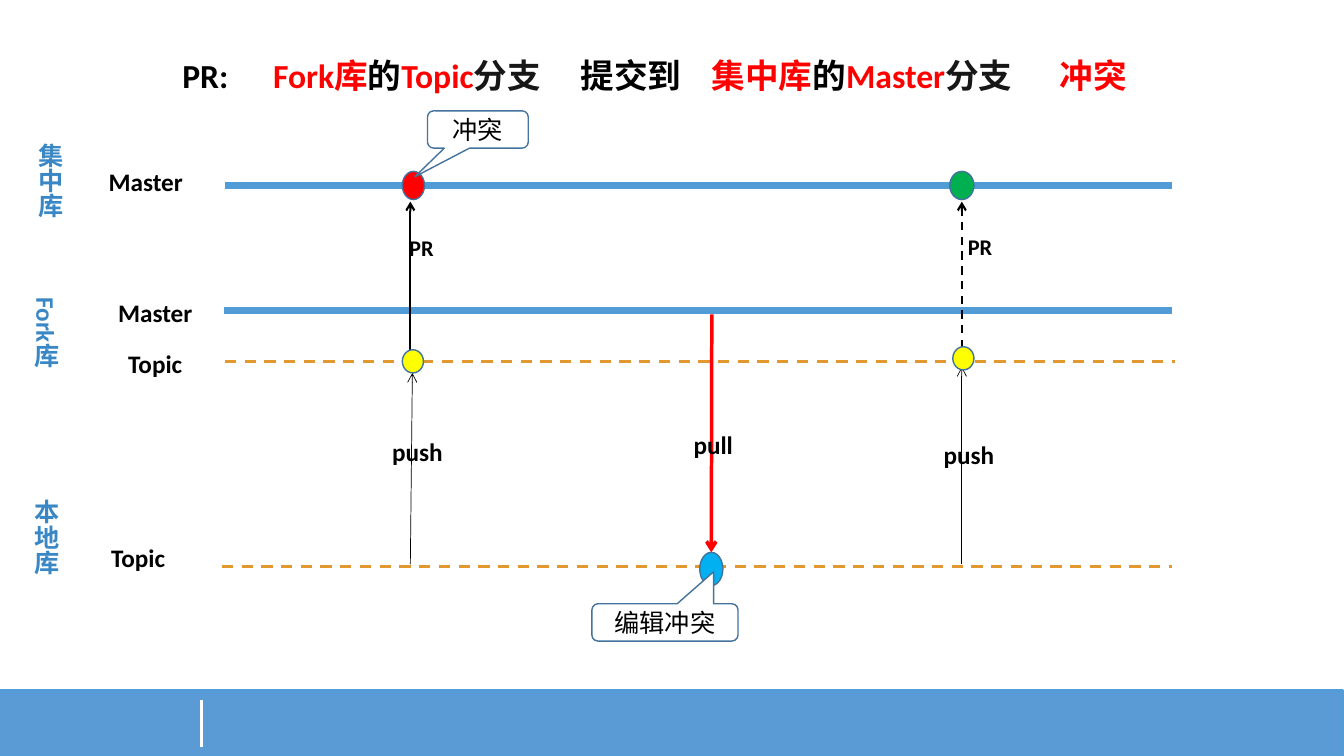
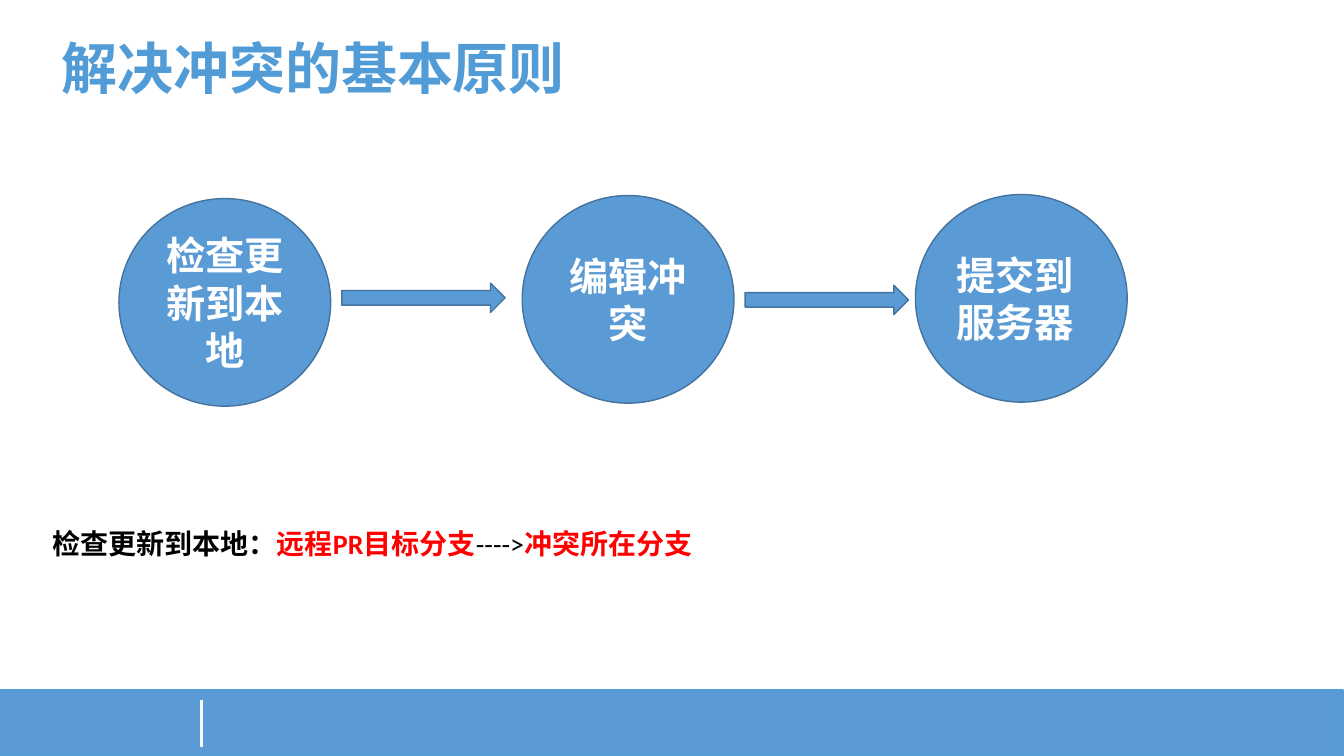
"""Builds two slides on pull request conflicts and how to resolve them."""
from lxml import etree
from pptx import Presentation
from pptx.dml.color import RGBColor
from pptx.enum.dml import MSO_LINE
from pptx.enum.shapes import MSO_CONNECTOR, MSO_SHAPE
from pptx.enum.text import MSO_ANCHOR, MSO_AUTO_SIZE, PP_ALIGN
from pptx.oxml.ns import qn
from pptx.util import Inches, Pt

BLUE = RGBColor(0x5B, 0x9B, 0xD5)
BAND_EDGE = RGBColor(0x52, 0x9D, 0xD7)
LANE_BLUE = RGBColor(0x51, 0x9C, 0xD6)
REPO_BLUE = RGBColor(0x3A, 0x87, 0xC5)
OUTLINE = RGBColor(0x43, 0x73, 0x9E)
ORANGE = RGBColor(0xE1, 0x99, 0x2F)
RED = RGBColor(0xFF, 0x00, 0x00)
GREEN = RGBColor(0x00, 0xB0, 0x50)
CYAN = RGBColor(0x00, 0xB0, 0xF0)
YELLOW = RGBColor(0xFF, 0xFF, 0x00)
BLACK = RGBColor(0x00, 0x00, 0x00)
INK = RGBColor(0x18, 0x17, 0x17)
WHITE = RGBColor(0xFF, 0xFF, 0xFF)

LATIN = "Calibri"
HAN = "Noto Sans CJK SC"
LEFT, CENTER, JUSTIFY = PP_ALIGN.LEFT, PP_ALIGN.CENTER, PP_ALIGN.JUSTIFY
MIDDLE = MSO_ANCHOR.MIDDLE
GROW = MSO_AUTO_SIZE.SHAPE_TO_FIT_TEXT
DASH = MSO_LINE.DASH
STRAIGHT = MSO_CONNECTOR.STRAIGHT
RECTANGLE = MSO_SHAPE.RECTANGLE
OVAL = MSO_SHAPE.OVAL
COMMIT = MSO_SHAPE.FLOWCHART_CONNECTOR
CALLOUT = MSO_SHAPE.ROUNDED_RECTANGULAR_CALLOUT
RIGHT_ARROW = MSO_SHAPE.RIGHT_ARROW
TOP_SITE = 0


class Deck:
    """Holds the style and the current slide."""

    def __init__(self):
        self.presentation = Presentation()
        self.presentation.slide_width = Inches(13.33)
        self.presentation.slide_height = Inches(7.5)
        self.slide = None

    def new_slide(self):
        layout = self.presentation.slide_layouts[6]
        self.slide = self.presentation.slides.add_slide(layout)
        self.shape(RECTANGLE, -0.01, 6.85, 13.33, 0.65, BLUE, BAND_EDGE, 1.5)
        self.line(2, 6.94, 2, 7.41, WHITE, 2.25)

    def add_runs(self, frame, runs, size, align=LEFT, tabs=()):
        paragraph = frame.paragraphs[0]
        paragraph.alignment = align
        if tabs:
            tab_list = etree.SubElement(paragraph._p.get_or_add_pPr(), qn("a:tabLst"))
            for position in tabs:
                etree.SubElement(tab_list, qn("a:tab"), pos=str(Inches(position)), algn="l")
        for text, color, bold in runs:
            run = paragraph.add_run()
            run.text = text
            style = {"size": Pt(size), "bold": bold, "name": LATIN}
            for attribute, value in style.items():
                setattr(run.font, attribute, value)
            run.font.color.rgb = color
            etree.SubElement(run._r.get_or_add_rPr(), qn("a:ea"), typeface=HAN)

    def text(self, x, y, width, height, runs, size=18, align=LEFT, tabs=(), vertical=False):
        box = self.slide.shapes.add_textbox(*map(Inches, (x, y, width, height)))
        frame = box.text_frame
        for attribute, value in {"word_wrap": True, "auto_size": GROW}.items():
            setattr(frame, attribute, value)
        if vertical:
            frame._txBody.bodyPr.set("vert", "eaVert")
        self.add_runs(frame, runs, size, align, tabs)

    def label(self, x, y, width, height, text, size=18, align=LEFT):
        self.text(x, y, width, height, [(text, BLACK, True)], size, align)

    def repository(self, x, y, name):
        self.text(x, y, 0.5, 1.51, [(name, REPO_BLUE, True)], vertical=True)

    def shape(self, kind, x, y, width, height, fill, edge=OUTLINE, weight=1):
        shape = self.slide.shapes.add_shape(kind, *map(Inches, (x, y, width, height)))
        shape.shadow.inherit = False
        shape.fill.solid()
        shape.fill.fore_color.rgb = fill
        shape.line.color.rgb = edge
        shape.line.width = Pt(weight)
        return shape

    def fill_text(self, shape, text, size, color, bold, align=CENTER):
        frame = shape.text_frame
        for attribute, value in {"word_wrap": True, "vertical_anchor": MIDDLE}.items():
            setattr(frame, attribute, value)
        self.add_runs(frame, [(text, color, bold)], size, align)

    def callout(self, x, y, width, text, tip):
        bubble = self.shape(CALLOUT, x, y, width, 0.37, WHITE)
        for index, value in enumerate((*tip, 0.167)):
            bubble.adjustments[index] = value
        self.fill_text(bubble, text, 18, BLACK, False)

    def step(self, x, y, text, align):
        circle = self.shape(OVAL, x, y, 2.1, 2.06, BLUE)
        self.fill_text(circle, text, 28, WHITE, True, align)

    def line(self, x1, y1, x2, y2, color, weight, dash=None, arrow=False):
        line = self.slide.shapes.add_connector(STRAIGHT, *map(Inches, (x1, y1, x2, y2)))
        line.line.color.rgb = color
        line.line.width = Pt(weight)
        if dash:
            line.line.dash_style = dash
        if arrow:
            etree.SubElement(line.line._get_or_add_ln(), qn("a:tailEnd"), type="arrow")
        etree.SubElement(line._element.spPr, qn("a:effectLst"))
        return line


def conflict_slide(deck):
    deck.new_slide()
    title = [
        ("PR:\t", BLACK), ("Fork库", RED), ("的", BLACK), ("Topic", RED),
        ("分支\t", INK), ("提交到\t", BLACK), ("集中库", RED), ("的", BLACK),
        ("Master", RED), ("分支\t", INK), ("冲突", RED),
    ]
    deck.text(1.71, 0.5, 9.94, 0.5, [(text, color, True) for text, color in title],
              24, tabs=(0.9, 3.95, 5.25, 8.7))

    for start, end, y in ((2.23, 11.62, 1.84), (2.22, 11.62, 3.08)):
        deck.line(start, y, end, y, LANE_BLUE, 5)
    for start, end, y in ((2.23, 11.65, 3.59), (2.2, 11.62, 5.62)):
        deck.line(start, y, end, y, ORANGE, 2, DASH)

    for x, y, name in ((0.2, 1.32, "集中库"), (0.16, 2.85, "Fork库"), (0.16, 4.86, "本地库")):
        deck.repository(x, y, name)
    for x, y, width, branch in (
        (0.8, 1.6, 1.29, "Master"), (0.84, 2.9, 1.4, "Master"),
        (1.05, 3.41, 0.98, "Topic"), (0.57, 5.33, 1.6, "Topic"),
    ):
        deck.label(x, y, width, 0.4, branch, align=CENTER)

    for x, tip_x, tip_y, dash in ((4.07, 4.09, 3.7, None), (9.54, 9.54, 3.64, DASH)):
        deck.line(x, 5.6, tip_x, tip_y, BLACK, 0.5, arrow=True)
        deck.line(x, 3.6, x, 2, BLACK, 1.5, dash, arrow=True)
    pull = deck.line(7.06, 3.12, 7.06, 5.48, RED, 2.5, arrow=True)

    for x, y, action in ((3.79, 4.28, "push"), (6.78, 4.21, "pull"), (9.26, 4.31, "push")):
        deck.label(x, y, 0.72, 0.4, action)
    for x, y, width in ((3.96, 2.27, 0.56), (9.5, 2.26, 0.49)):
        deck.label(x, y, width, 0.37, "PR", 16)

    for x, y, width, height, color in (
        (3.99, 1.7, 0.22, 0.28, RED), (9.42, 1.7, 0.24, 0.28, GREEN),
        (3.99, 3.47, 0.21, 0.23, YELLOW), (9.45, 3.44, 0.21, 0.23, YELLOW),
    ):
        deck.shape(COMMIT, x, y, width, height, color)
    merge = deck.shape(COMMIT, 6.94, 5.48, 0.23, 0.33, CYAN)
    pull.end_connect(merge, TOP_SITE)

    deck.callout(4.24, 1.1, 1, "冲突", (-0.625, 1.265))
    deck.callout(5.87, 5.99, 1.45, "编辑冲突", (0.333, -1.358))


def principle_slide(deck):
    deck.new_slide()
    deck.text(0.51, 0.28, 6.76, 0.77, [("解决冲突的基本原则", LANE_BLUE, True)], 40, JUSTIFY)
    deck.text(0.42, 5.17, 12.32, 0.44, [
        ("检查更新到本地：", BLACK, True), ("远程PR目标分支", RED, True),
        ("---->", BLACK, False), ("冲突所在分支", RED, True),
    ], 20)
    for x, y, text, align in (
        (1.18, 1.97, "检查更新到本地", CENTER),
        (5.18, 1.94, "编辑冲突", CENTER),
        (9.08, 1.93, "提交到服务器", LEFT),
    ):
        deck.step(x, y, text, align)
    for x, y in ((3.39, 2.81), (7.39, 2.83)):
        deck.shape(RIGHT_ARROW, x, y, 1.62, 0.29, BLUE)


def main():
    deck = Deck()
    conflict_slide(deck)
    principle_slide(deck)
    deck.presentation.save("out.pptx")


if __name__ == "__main__":
    main()
